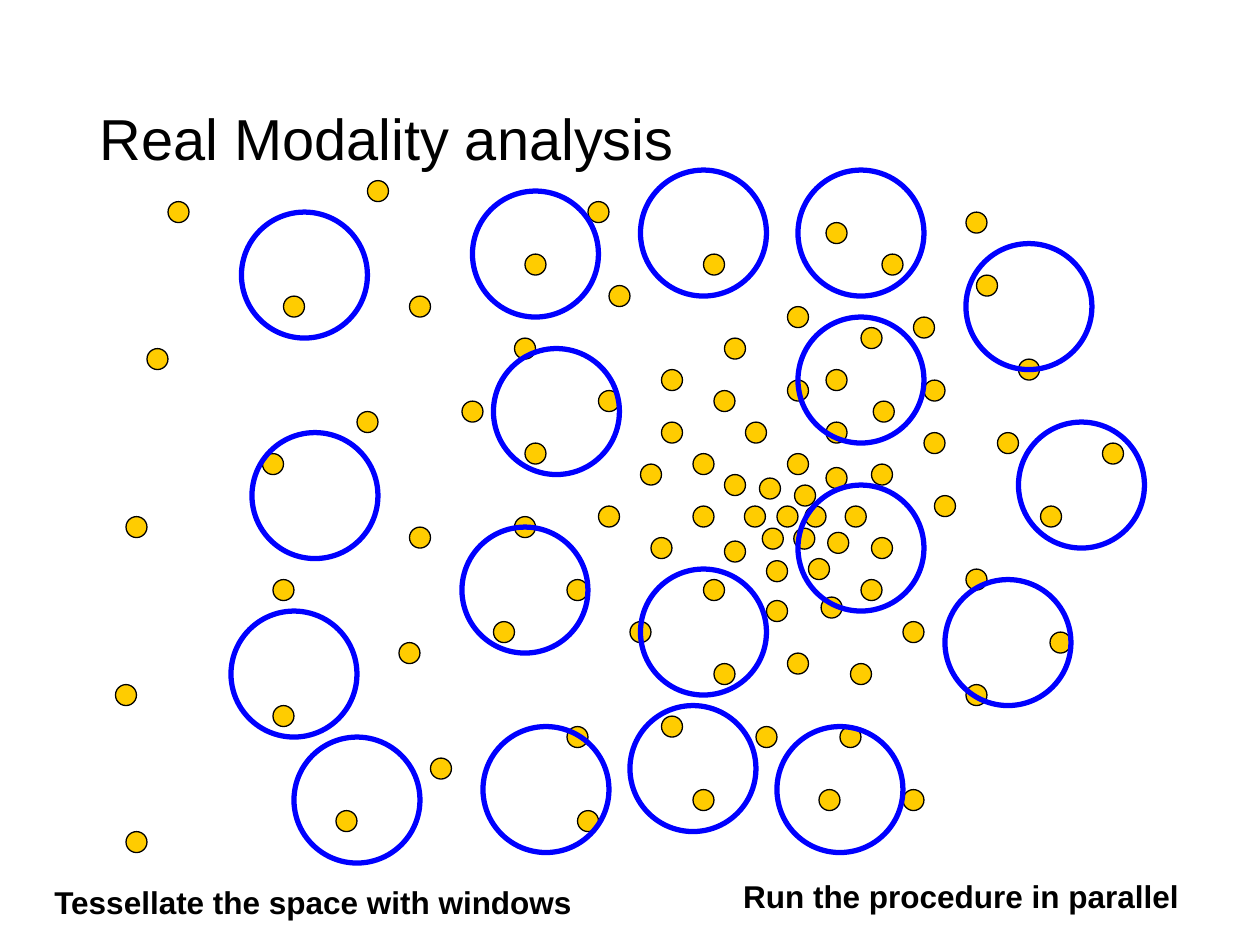
from typing import Iterator, NamedTuple

from pptx import Presentation
from pptx.dml.color import RGBColor
from pptx.enum.shapes import MSO_SHAPE
from pptx.enum.text import MSO_ANCHOR, MSO_AUTO_SIZE
from pptx.util import Pt

CELL = 6    # points per grid step, across and down
SHIFT = 1.2  # the grid starts this far below the top edge
BLACK, BLUE, GOLD = "000000", "0000FF", "FFCC00"

Grid = dict[float, tuple[float, ...]]  # row: columns filled in that row


class Style(NamedTuple):
    cells: int  # diameter in grid steps
    line: str
    width: float
    fill: str | None = None


class Layer(NamedTuple):
    style: Style
    grid: Grid


class Spot(NamedTuple):
    left: float
    top: float


# Sample points: sparse at the edges, dense around column 75, row 48.
# A fraction marks a point that sits between two grid lines.
POINTS = Layer(Style(2, BLACK, 0.75, GOLD), {
    17: (35,), 19: (16, 56), 20: (92,), 21: (78.67,),
    24: (50, 67, 84), 26: (93,), 27: (58,), 28: (27, 39), 29: (75,),
    30: (87,), 31: (82,), 32: (49, 69), 33: (14,), 34: (97,),
    35: (63, 78.67), 36: (75, 88), 37: (57, 68), 38: (44, 83.17),
    39: (34,), 40: (63, 71, 78.67), 41: (88, 95), 42: (50, 105),
    43: (25, 66, 75), 44: (61, 83), 44.33: (78.67,), 45: (69,),
    45.33: (72.33,), 46: (75.67,), 47: (89,),
    48: (57, 66, 70.9, 74, 76.67, 80.5, 99.1), 49: (12, 49),
    50: (39,), 50.1: (72.6, 75.6), 50.5: (78.83,), 51: (62, 83),
    51.33: (69,), 53: (77,), 53.2: (73,), 54: (92,),
    55: (26, 54, 67, 82), 56.67: (78.2,), 57: (73,), 59: (47, 60, 86),
    60: (100,), 61: (38,), 62: (75,), 63: (68, 81), 65: (11, 92),
    67: (26,), 68: (63,), 69: (54, 72, 80), 72: (41,),
    75: (66, 78, 86), 77: (32, 55), 79: (12,),
})

# Search windows that cover the space
WINDOWS = Layer(Style(12, BLUE, 3), {
    16: (61, 76), 18: (45,), 20: (23,), 23: (92,), 30: (76,), 33: (47,),
    40: (97,), 41: (24,), 46: (76,), 50: (44,), 54: (61,), 55: (90,),
    58: (22,), 67: (60,), 69: (46, 74), 70: (28,),
})


def color(code: str) -> RGBColor:
    return RGBColor.from_string(code)


def spots(grid: Grid) -> Iterator[Spot]:
    """Turn grid rows and columns into corners in points."""
    for row, cols in grid.items():
        for col in cols:
            yield Spot(col * CELL, row * CELL + SHIFT)


def add_circle(slide, spot: Spot, style: Style) -> None:
    size = Pt(style.cells * CELL)
    shape = slide.shapes.add_shape(
        MSO_SHAPE.OVAL, Pt(spot.left), Pt(spot.top), size, size)
    shape.shadow.inherit = False
    shape.line.color.rgb = color(style.line)
    shape.line.width = Pt(style.width)
    if style.fill:
        shape.fill.solid()
        shape.fill.fore_color.rgb = color(style.fill)
    else:
        shape.fill.background()


def add_layer(slide, layer: Layer) -> None:
    for spot in spots(layer.grid):
        add_circle(slide, spot, layer.style)


def add_text(slide, text: str, *, left: float, top: float, width: float,
             height: float = 29, size: float = 18, bold: bool = True,
             wrap: bool = True, grow: bool = True, space: float = 1,
             anchor: MSO_ANCHOR = MSO_ANCHOR.TOP) -> None:
    box = slide.shapes.add_textbox(Pt(left), Pt(top), Pt(width), Pt(height))
    frame = box.text_frame
    frame.word_wrap = wrap
    frame.auto_size = (MSO_AUTO_SIZE.SHAPE_TO_FIT_TEXT if grow
                       else MSO_AUTO_SIZE.NONE)
    frame.vertical_anchor = anchor
    para = frame.paragraphs[0]
    para.line_spacing = space
    run = para.add_run()
    run.text = text
    run.font.name = "Arial"
    run.font.size = Pt(size)
    run.font.bold = bold
    run.font.color.rgb = color(BLACK)


def main() -> None:
    deck = Presentation()
    deck.slide_width, deck.slide_height = Pt(720), Pt(540)
    slide = deck.slides.add_slide(deck.slide_layouts[6])
    for layer in (POINTS, WINDOWS):
        add_layer(slide, layer)
    add_text(slide, "Tessellate the space with windows",
             left=24, top=501.2, width=360)
    add_text(slide, "Run the procedure in parallel",
             left=417.6, top=497.5, width=263.5, wrap=False)
    add_text(slide, "Real Modality analysis",
             left=49.7, top=28.8, width=621, height=104.4, size=33,
             bold=False, grow=False, space=0.9, anchor=MSO_ANCHOR.MIDDLE)
    deck.save("out.pptx")


if __name__ == "__main__":
    main()
